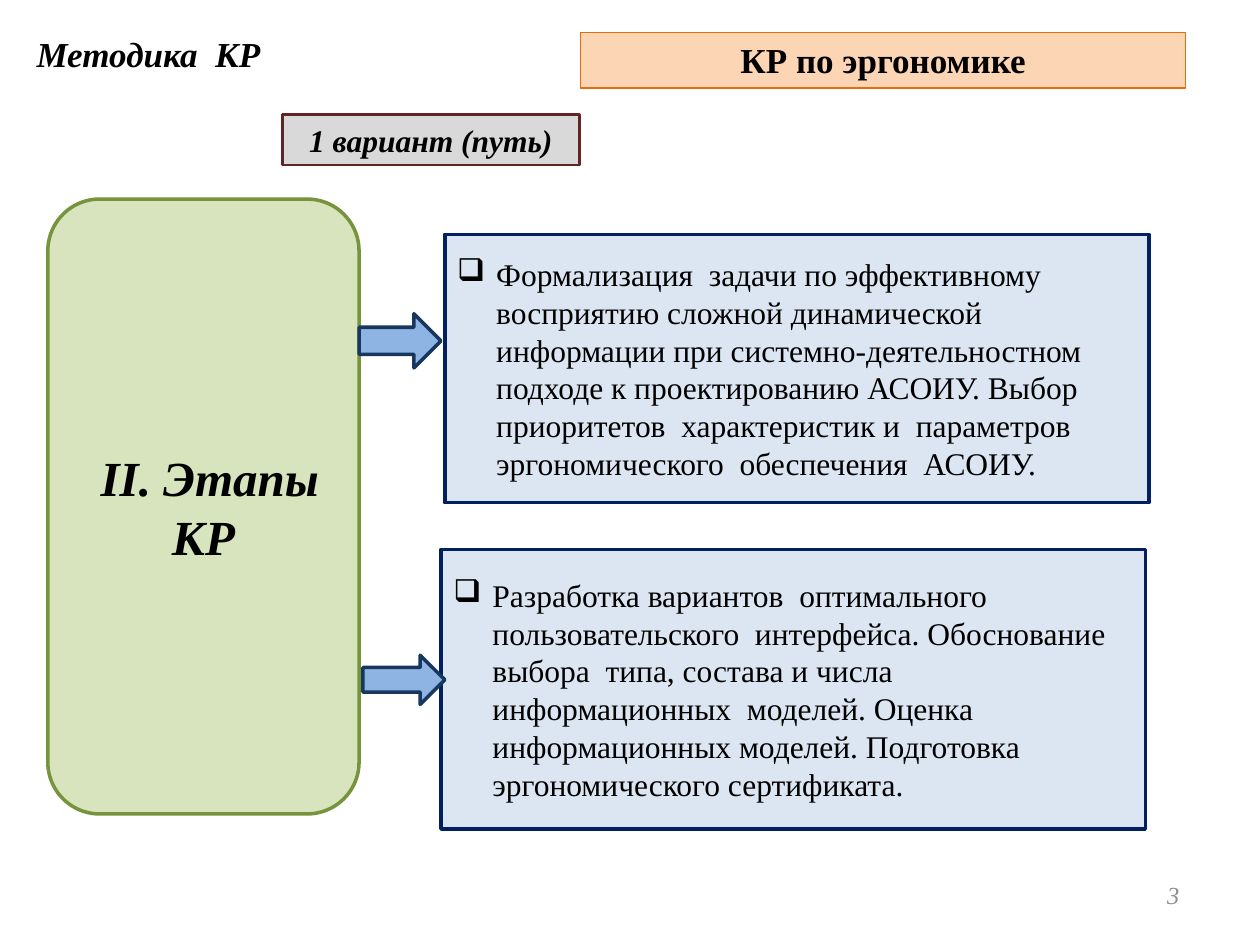
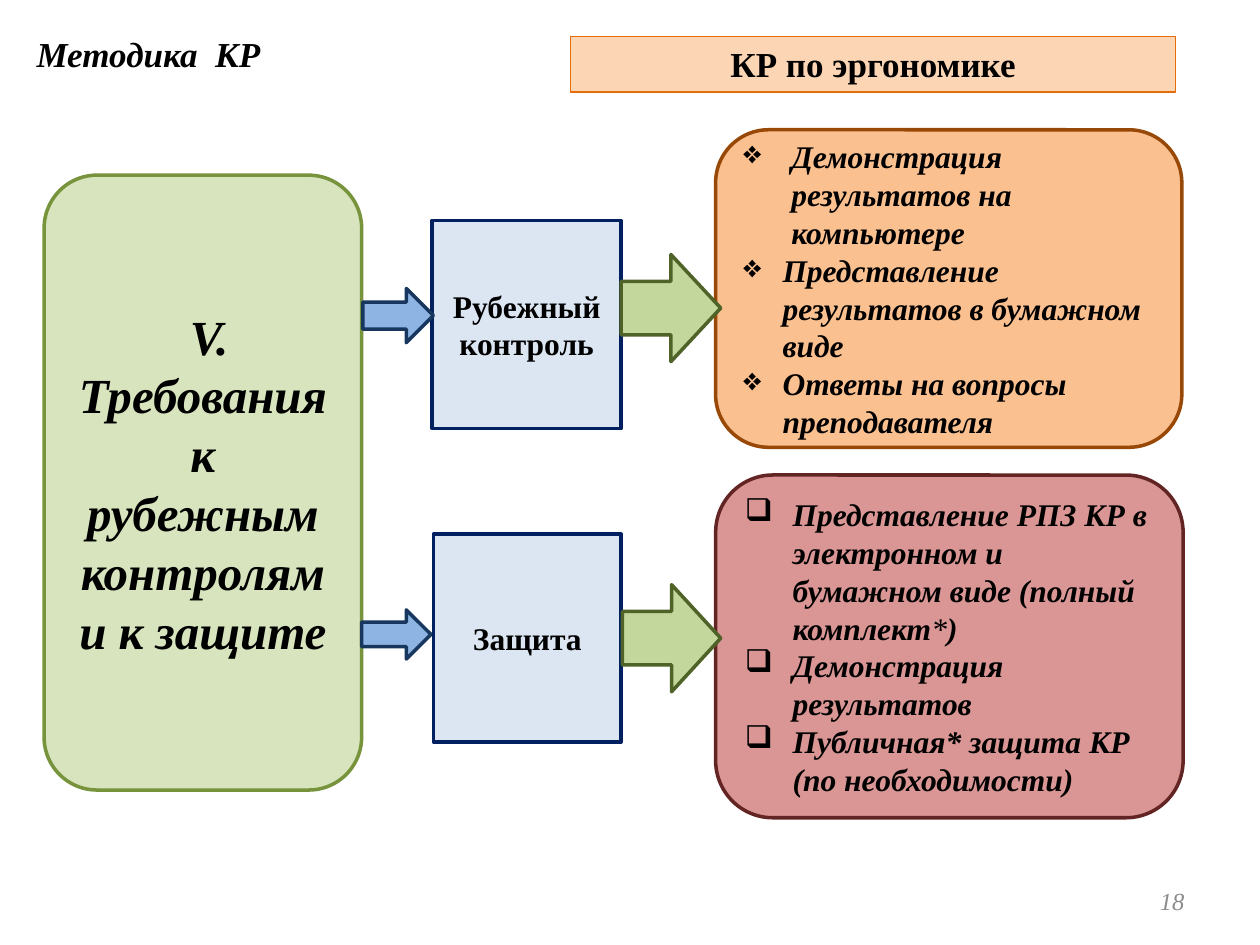
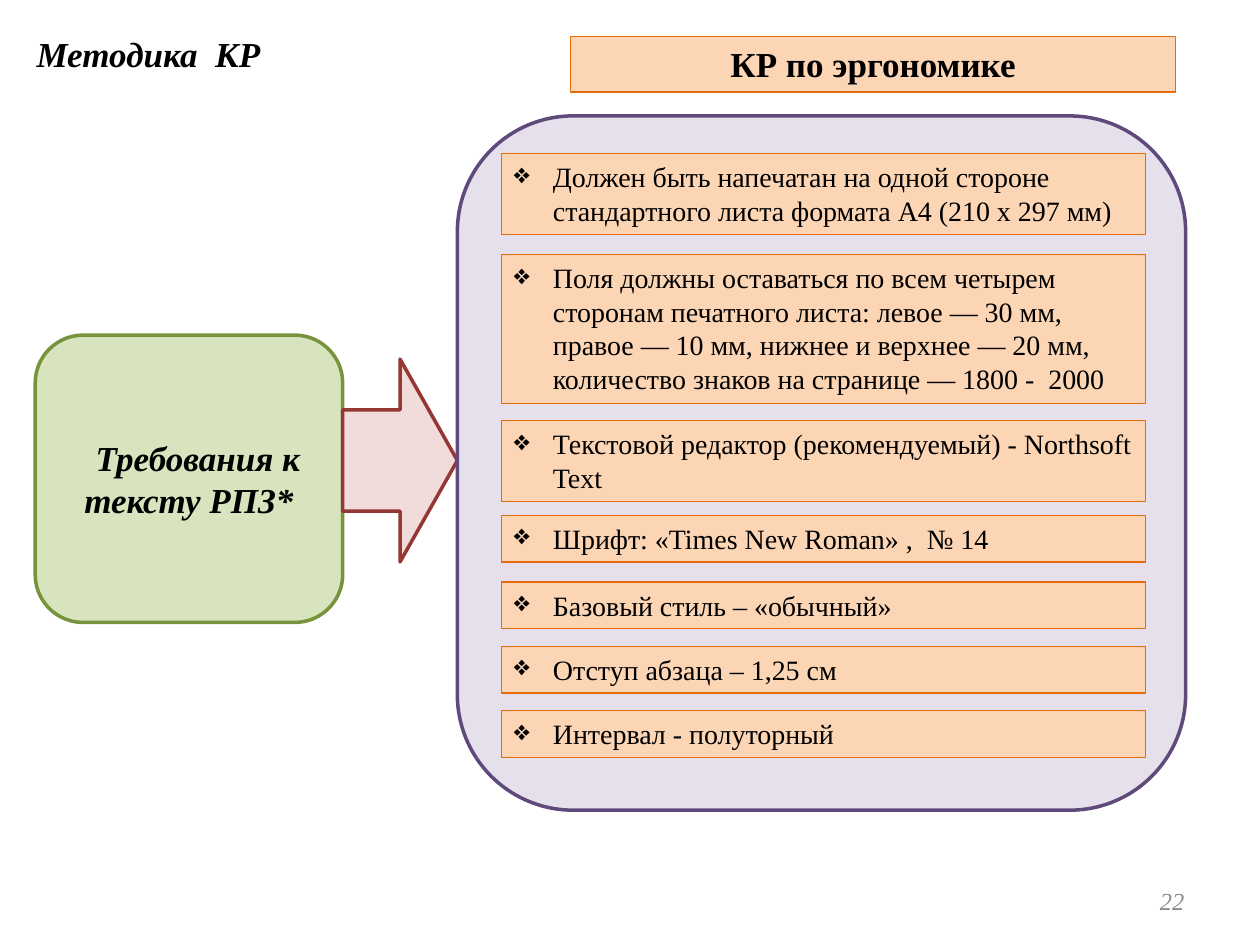
from dataclasses import dataclass

from lxml import etree
from pptx import Presentation
from pptx.dml.color import RGBColor
from pptx.enum.shapes import MSO_SHAPE
from pptx.enum.text import MSO_ANCHOR, MSO_AUTO_SIZE, PP_ALIGN
from pptx.oxml.ns import qn
from pptx.util import Inches, Pt

RECTANGLE = MSO_SHAPE.RECTANGLE
ROUNDED = MSO_SHAPE.ROUNDED_RECTANGLE
ARROW = MSO_SHAPE.RIGHT_ARROW
LEFT, CENTER, RIGHT = PP_ALIGN.LEFT, PP_ALIGN.CENTER, PP_ALIGN.RIGHT
TOP, MIDDLE = MSO_ANCHOR.TOP, MSO_ANCHOR.MIDDLE

FONT = "Times New Roman"
TITLE_ONLY = 5
SQUARE, DIAMOND = "❑", "❖"
HANG = 0.31
WIDE_HANG = 0.38

COLORS = {
    "text": "000000",
    "page number": "8C8C8C",
    "stage fill": "D7E4BD", "stage line": "77933C",
    "step fill": "DCE6F2", "step line": "002060",
    "band fill": "FCD5B5", "band line": "E46C0A",
    "variant fill": "D9D9D9", "variant line": "632523",
    "control fill": "FAC090", "control line": "984807",
    "defence fill": "D99694", "defence line": "632523",
    "rules fill": "E6E0EC", "rules line": "604A7B",
    "blue arrow fill": "8EB4E3", "blue arrow line": "17375E",
    "green arrow fill": "C3D69B", "green arrow line": "4F6228",
    "red arrow fill": "F2DCDB", "red arrow line": "953735",
}


@dataclass(frozen=True)
class Para:
    """Text spans of one paragraph; every second span is of regular weight."""
    spans: tuple[str, ...]
    bullet: str = ""
    hang: float = HANG
    first_indent: float = 0


@dataclass(frozen=True)
class TextStyle:
    size: float
    bold: bool = False
    italic: bool = False
    align: PP_ALIGN = LEFT
    anchor: MSO_ANCHOR = MIDDLE
    color: str = "text"


@dataclass(frozen=True)
class Look:
    """Preset shape, colour family, line width and text style of a box."""
    preset: MSO_SHAPE
    family: str
    line_width: float = 2
    text: TextStyle = TextStyle(18)


@dataclass(frozen=True)
class Box:
    look: Look
    place: tuple[float, float, float, float]
    paras: tuple[Para, ...] = ()


@dataclass(frozen=True)
class Page:
    number: str
    number_place: tuple[float, float, float, float]
    band_place: tuple[float, float, float, float]
    boxes: tuple[Box, ...]


TITLE_TEXT = TextStyle(20, bold=True, italic=True, anchor=TOP)
NUMBER_TEXT = TextStyle(14, italic=True, align=RIGHT, color="page number")

BAND = Look(RECTANGLE, "band", 0.75, TextStyle(20, bold=True, align=CENTER, anchor=TOP))
VARIANT = Look(RECTANGLE, "variant", 1.5,
               TextStyle(18, bold=True, italic=True, align=CENTER, anchor=TOP))
STAGE = Look(ROUNDED, "stage", text=TextStyle(28, bold=True, italic=True, align=CENTER))
TOPIC = Look(ROUNDED, "stage", text=TextStyle(20, bold=True, italic=True, align=CENTER))
STEP = Look(RECTANGLE, "step")
CHECK = Look(RECTANGLE, "step", text=TextStyle(18, bold=True, align=CENTER))
CONTROL = Look(ROUNDED, "control", text=TextStyle(18, bold=True, italic=True))
DEFENCE = Look(ROUNDED, "defence", text=TextStyle(18, bold=True, italic=True))
RULES = Look(ROUNDED, "rules")
RULE = Look(RECTANGLE, "band", 0.75, TextStyle(16, anchor=TOP))
BLUE_ARROW = Look(ARROW, "blue arrow")
GREEN_ARROW = Look(ARROW, "green arrow")
RED_ARROW = Look(ARROW, "red arrow")


def rule_box(top: float, lines: int, text: str) -> Box:
    """A formatting rule whose height follows its number of lines."""
    return Box(RULE, (3.98, top, 5.11, 0.1 + 0.27 * lines), (Para((text,), DIAMOND),))


STAGES_PAGE = Page("3", (7.13, 6.9, 2.33, 0.4), (4.61, 0.26, 4.8, 0.44), (
    Box(STAGE, (0.38, 1.58, 2.47, 4.88), (Para(("II. Этапы КР",), first_indent=0.1),)),
    Box(STEP, (3.53, 1.86, 5.59, 2.13), (Para((
        "Формализация  задачи по эффективному восприятию сложной динамической "
        "информации при системно-деятельностном подходе к проектированию АСОИУ. "
        "Выбор приоритетов  характеристик и  параметров эргономического  "
        "обеспечения  АСОИУ.",), SQUARE),)),
    Box(STEP, (3.5, 4.36, 5.59, 2.22), (Para((
        "Разработка вариантов  оптимального  пользовательского  интерфейса. "
        "Обоснование выбора  типа, состава и числа информационных  моделей. "
        "Оценка информационных моделей. Подготовка эргономического "
        "сертификата.",), SQUARE),)),
    Box(BLUE_ARROW, (2.85, 2.49, 0.65, 0.43)),
    Box(BLUE_ARROW, (2.88, 5.2, 0.65, 0.39)),
    Box(VARIANT, (2.24, 0.91, 2.36, 0.4), (Para(("1 вариант (путь)",)),)),
))

CONTROLS_PAGE = Page("18", (7.17, 6.95, 2.33, 0.4), (4.53, 0.29, 4.8, 0.44), (
    Box(STAGE, (0.35, 1.39, 2.52, 4.88),
        (Para(("V. Требования к рубежным контролям и к защите",), first_indent=0.1),)),
    Box(CHECK, (3.43, 1.75, 1.5, 1.65), (Para(("Рубежный контроль",)),)),
    Box(BLUE_ARROW, (2.88, 2.29, 0.56, 0.43)),
    Box(BLUE_ARROW, (2.87, 4.84, 0.55, 0.39)),
    Box(CHECK, (3.44, 4.24, 1.49, 1.65), (Para(("Защита",)),)),
    Box(CONTROL, (5.68, 1.03, 3.7, 2.52), (
        Para(("Демонстрация результатов на компьютере",), DIAMOND, WIDE_HANG),
        Para(("Представление результатов в бумажном виде",), DIAMOND),
        Para(("Ответы на вопросы преподавателя",), DIAMOND),
    )),
    Box(DEFENCE, (5.68, 3.77, 3.71, 2.72), (
        Para(("Представление РПЗ КР в электронном и бумажном виде (полный комплект",
              "*", ")"), SQUARE, WIDE_HANG),
        Para(("Демонстрация результатов",), SQUARE, WIDE_HANG),
        Para(("Публичная* защита КР (по необходимости)",), SQUARE, WIDE_HANG),
    )),
    Box(GREEN_ARROW, (4.93, 2.02, 0.79, 0.85)),
    Box(GREEN_ARROW, (4.94, 4.64, 0.78, 0.85)),
))

RULES_PAGE = Page("22", (7.17, 6.95, 2.33, 0.4), (4.53, 0.29, 4.8, 0.44), (
    Box(TOPIC, (0.28, 2.66, 2.44, 2.28),
        (Para(("Требования к тексту РПЗ*",), first_indent=0.14),)),
    Box(RED_ARROW, (2.72, 2.85, 0.91, 1.61)),
    Box(RULES, (3.63, 0.92, 5.78, 5.51)),
    rule_box(1.22, 2, "Должен быть напечатан на одной стороне стандартного листа "
                      "формата А4 (210 х 297 мм)"),
    rule_box(2.02, 4, "Поля должны оставаться по всем четырем сторонам печатного листа: "
                      "левое — 30 мм, правое — 10 мм, нижнее и верхнее — 20 мм, "
                      "количество знаков на странице — 1800 -  2000"),
    rule_box(3.34, 2, "Текстовой редактор (рекомендуемый) - Northsoft Text"),
    rule_box(4.09, 1, "Шрифт: «Times New Roman» ,  № 14"),
    rule_box(4.62, 1, "Базовый стиль – «обычный»"),
    rule_box(5.13, 1, "Отступ абзаца – 1,25 см"),
    rule_box(5.64, 1, "Интервал - полуторный"),
))


def color(name: str) -> RGBColor:
    return RGBColor.from_string(COLORS[name])


def set_indents(paragraph, para: Para) -> None:
    """Apply the bullet with its hanging indent, or the first-line indent."""
    properties = paragraph._p.get_or_add_pPr()
    hang = para.hang if para.bullet else 0
    properties.set("marL", str(Inches(hang)))
    properties.set("indent", str(Inches(para.first_indent - hang)))
    if para.bullet:
        etree.SubElement(properties, qn("a:buChar")).set("char", para.bullet)


def write(shape, paras: tuple[Para, ...], style: TextStyle) -> None:
    frame = shape.text_frame
    frame.word_wrap = True
    frame.auto_size = MSO_AUTO_SIZE.NONE
    frame.vertical_anchor = style.anchor
    for index, para in enumerate(paras):
        paragraph = frame.paragraphs[0] if index == 0 else frame.add_paragraph()
        paragraph.alignment = style.align
        set_indents(paragraph, para)
        for position, text in enumerate(para.spans):
            span = paragraph.add_run()
            span.text = text
            span.font.name = FONT
            span.font.size = Pt(style.size)
            span.font.bold = style.bold and position % 2 == 0
            span.font.italic = style.italic
            span.font.color.rgb = color(style.color)


def draw_box(slide, box: Box) -> None:
    look = box.look
    shape = slide.shapes.add_shape(look.preset, *map(Inches, box.place))
    shape.shadow.inherit = False
    shape.fill.solid()
    shape.fill.fore_color.rgb = color(f"{look.family} fill")
    shape.line.color.rgb = color(f"{look.family} line")
    shape.line.width = Pt(look.line_width)
    write(shape, box.paras, look.text)


def draw_title(slide) -> None:
    title = slide.shapes.title
    title.left, title.top, title.width, title.height = map(Inches, (0.12, 0.21, 4.33, 0.44))
    write(title, (Para(("Методика  КР",), first_indent=0.07),), TITLE_TEXT)


def draw_page(deck, page: Page) -> None:
    slide = deck.slides.add_slide(deck.slide_layouts[TITLE_ONLY])
    draw_title(slide)
    for box in page.boxes:
        draw_box(slide, box)
    draw_box(slide, Box(BAND, page.band_place, (Para(("КР по эргономике",)),)))
    number = slide.shapes.add_textbox(*map(Inches, page.number_place))
    write(number, (Para((page.number,)),), NUMBER_TEXT)


def main() -> None:
    deck = Presentation()
    deck.slide_width = Inches(10)
    deck.slide_height = Inches(7.5)
    for page in (STAGES_PAGE, CONTROLS_PAGE, RULES_PAGE):
        draw_page(deck, page)
    deck.save("out.pptx")


if __name__ == "__main__":
    main()
